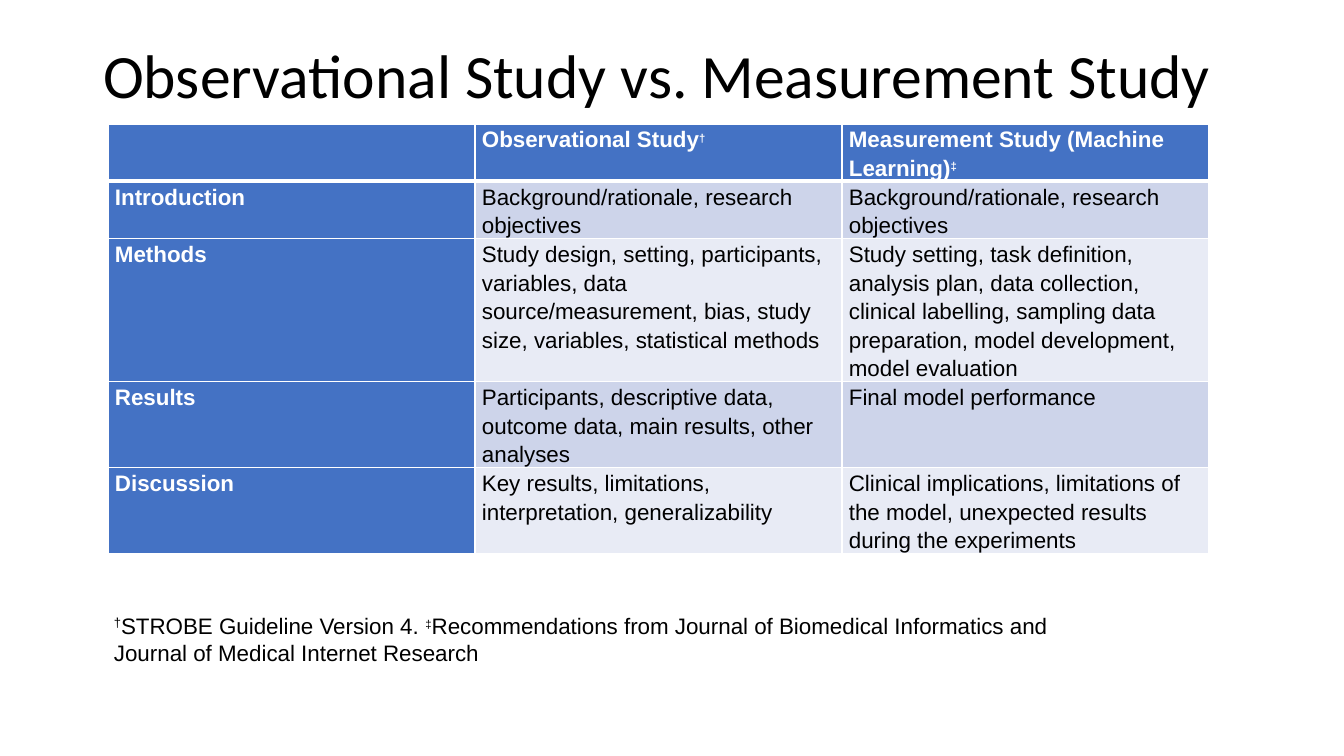
from pptx import Presentation
from pptx.dml.color import RGBColor
from pptx.enum.text import MSO_ANCHOR, PP_ALIGN
from pptx.oxml import parse_xml
from pptx.oxml.ns import nsdecls
from pptx.util import Pt

TITLE = "Observational Study vs. Measurement Study"
HEADER = [
    [],
    [("Observational Study", 16, False), ("†", 14, True)],
    [("Measurement Study (Machine Learning)", 16, False), ("‡", 14, True)],
]
SECTIONS = [
    ("Introduction",
     "Background/rationale, research objectives",
     "Background/rationale, research objectives"),
    ("Methods",
     "Study design, setting, participants, variables, data source/measurement, "
     "bias, study size, variables, statistical methods",
     "Study setting, task definition, analysis plan, data collection, clinical labelling, "
     "sampling data preparation, model development, model evaluation"),
    ("Results",
     "Participants, descriptive data, outcome data, main results, other analyses",
     "Final model performance"),
    ("Discussion",
     "Key results, limitations, interpretation, generalizability",
     "Clinical implications, limitations of the model, unexpected results during the experiments"),
]
FOOTNOTE = [
    ("†", 16, True),
    ("STROBE Guideline Version 4. ", 16, False),
    ("‡", 14, True),
    ("Recommendations from Journal of Biomedical Informatics and "
     "Journal of Medical Internet Research", 16, False),
]
ROW_HEIGHTS = [57, 57, 143, 86, 86]
COLUMN_WIDTH = 367

BLACK = RGBColor(0x00, 0x00, 0x00)
WHITE = RGBColor(0xFF, 0xFF, 0xFF)
BLUE = RGBColor(0x44, 0x72, 0xC4)
BANDS = [RGBColor(0xCD, 0xD4, 0xEA), RGBColor(0xE8, 0xEB, 0xF5)]


def px(length):
    return round(length * 914400 / 100.8)


def write_spans(para, spans, color, bold=False):
    para.font.name = "Arial"
    para.font.color.rgb = color
    para.font.bold = bold
    for text, size, raised in spans:
        span = para.add_run()
        span.text = text
        span.font.size = Pt(size)
        span.font.name = "Arial"
        span.font.color.rgb = color
        span.font.bold = bold
        if raised:
            span.font._element.set("baseline", "30000")


def set_borders(cell, bottom_width):
    properties = cell._tc.get_or_add_tcPr()
    widths = {"lnL": 1, "lnR": 1, "lnT": 1, "lnB": bottom_width}
    for index, (side, width) in enumerate(widths.items()):
        properties.insert(index, parse_xml(
            f'<a:{side} {nsdecls("a")} w="{Pt(width)}"><a:solidFill>'
            f'<a:srgbClr val="{WHITE}"/></a:solidFill></a:{side}>'))


def add_title(page):
    title = page.shapes.title
    title.left, title.top, title.width, title.height = px(93), px(40), px(1159), px(146)
    frame = title.text_frame
    frame.text = TITLE
    frame.word_wrap = True
    frame.vertical_anchor = MSO_ANCHOR.TOP
    para = frame.paragraphs[0]
    para.alignment = PP_ALIGN.LEFT
    para.line_spacing = 0.9
    para.font.name = "Calibri"
    para.font.size = Pt(44)
    para.font.color.rgb = BLACK


def add_comparison(page):
    rows = [HEADER] + [[[(text, 16, False)] for text in section] for section in SECTIONS]
    table = page.shapes.add_table(
        len(rows), len(HEADER), px(108), px(124),
        px(COLUMN_WIDTH * len(HEADER)), px(sum(ROW_HEIGHTS))).table
    for column in table.columns:
        column.width = px(COLUMN_WIDTH)
    for row_index, (row, height) in enumerate(zip(rows, ROW_HEIGHTS)):
        table.rows[row_index].height = px(height)
        for column_index, spans in enumerate(row):
            cell = table.cell(row_index, column_index)
            heading = row_index == 0 or column_index == 0
            cell.margin_left = cell.margin_right = px(7)
            cell.margin_top = cell.margin_bottom = 0
            cell.fill.solid()
            cell.fill.fore_color.rgb = BLUE if heading else BANDS[(row_index - 1) % 2]
            set_borders(cell, 3 if row_index == 0 else 1)
            para = cell.text_frame.paragraphs[0]
            para.line_spacing = 1.15
            if row_index and column_index == 0:
                para.alignment = PP_ALIGN.JUSTIFY
            write_spans(para, spans, WHITE if heading else BLACK, heading)


def add_footnote(page):
    box = page.shapes.add_textbox(px(104), px(607), px(1020), px(64))
    box.text_frame.word_wrap = True
    write_spans(box.text_frame.paragraphs[0], FOOTNOTE, BLACK)


def main():
    deck = Presentation()
    deck.slide_width, deck.slide_height = px(1344), px(756)
    page = deck.slides.add_slide(deck.slide_layouts[5])
    add_title(page)
    add_comparison(page)
    add_footnote(page)
    deck.save("out.pptx")


if __name__ == "__main__":
    main()
